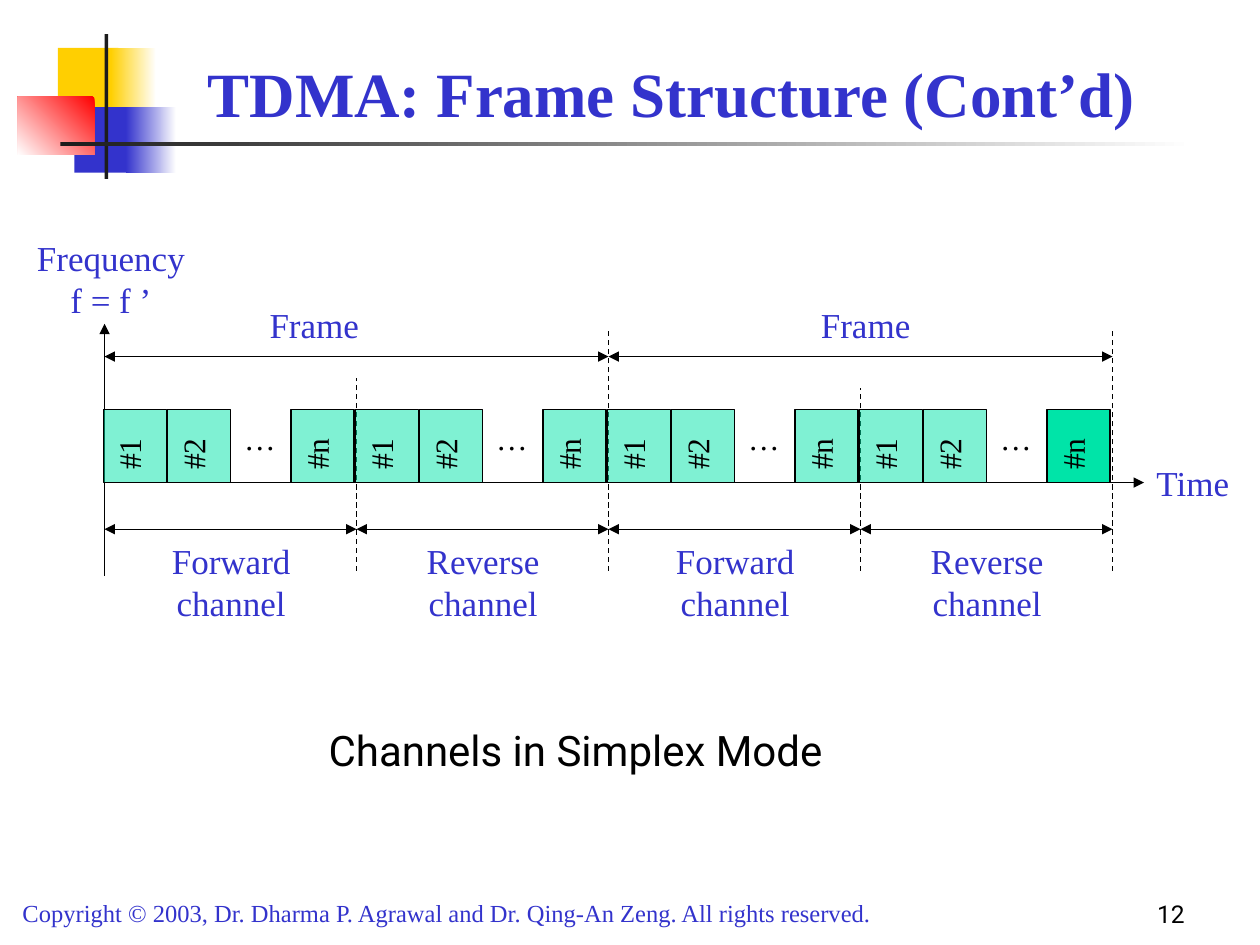
from pptx import Presentation
from pptx.dml.color import RGBColor
from pptx.enum.dml import MSO_LINE
from pptx.enum.shapes import MSO_CONNECTOR, MSO_SHAPE
from pptx.enum.text import MSO_ANCHOR, PP_ALIGN
from pptx.oxml.ns import qn
from pptx.util import Inches, Pt
from lxml import etree

COLORS = {
    "white": "FFFFFF", "black": "000000", "blue": "3333CC", "gold": "FFCF01",
    "red": "FF0000", "dark": "1C1C1C", "green": "00E4A8",
}
SERIF, SANS = "Times New Roman", "Roboto"


def color(name):
    return RGBColor.from_string(COLORS[name])


def style(frame, text, size, tint, font, align, bold=False):
    frame.text = text
    para = frame.paragraphs[0]
    para.alignment = align
    for run in para.runs:
        run.font.size = Pt(size)
        run.font.name = font
        run.font.bold = bold
        run.font.color.rgb = color(tint)


def add_text(slide, box, text, size=20, tint="blue", font=SERIF,
             align=PP_ALIGN.CENTER, bold=False, anchor=MSO_ANCHOR.TOP, wrap=True):
    frame = slide.shapes.add_textbox(*map(Inches, box)).text_frame
    frame.word_wrap = wrap
    frame.vertical_anchor = anchor
    style(frame, text, size, tint, font, align, bold)


def add_rect(slide, box, tint):
    rect = slide.shapes.add_shape(MSO_SHAPE.RECTANGLE, *map(Inches, box))
    rect.shadow.inherit = False
    rect.fill.solid()
    rect.fill.fore_color.rgb = color(tint)
    rect.line.fill.background()
    return rect


def add_fade(slide, box, tint, angle=0):
    fill = add_rect(slide, box, tint).fill
    fill.gradient()
    fill.gradient_angle = angle
    for stop, name in zip(fill.gradient_stops, (tint, "white")):
        stop.color.rgb = color(name)


def add_line(slide, start, end, heads=(), dash=False):
    line = slide.shapes.add_connector(
        MSO_CONNECTOR.STRAIGHT, *map(Inches, (*start, *end)))
    line.line.color.rgb = color("black")
    line.line.width = Pt(0.75)
    if dash:
        line.line.dash_style = MSO_LINE.DASH
    props = line.line._get_or_add_ln()
    for head in heads:
        etree.SubElement(props, qn(f"a:{head}"), type="triangle")
    etree.SubElement(line._element.spPr, qn("a:effectLst"))


def add_slot(slide, box, text, solid=False):
    slot = add_rect(slide, box, "green")
    slot.rotation = 180
    slot.line.color.rgb = color("black")
    slot.line.width = Pt(0.75)
    if not solid:
        tint = slot._element.spPr.find(qn("a:solidFill"))[0]
        etree.SubElement(tint, qn("a:alpha"), val="50000")
    frame = slot.text_frame
    frame.margin_left = frame.margin_right = Inches(0.05)
    frame.margin_top = frame.margin_bottom = Inches(0.1)
    frame.vertical_anchor = MSO_ANCHOR.TOP
    frame._txBody.bodyPr.set("vert", "eaVert")
    style(frame, text, 18, "black", SERIF, PP_ALIGN.CENTER)


def add_logo(slide, x, y):
    # Overlapping colour blocks with crossing bars
    add_rect(slide, (x + 0.32, y + 0.11, 0.48, 0.52), "gold")
    add_fade(slide, (x + 0.74, y + 0.11, 0.36, 0.52), "gold")
    add_rect(slide, (x + 0.45, y + 0.58, 0.46, 0.52), "blue")
    add_fade(slide, (x + 0.86, y + 0.58, 0.4, 0.52), "blue")
    add_fade(slide, (x, y + 0.5, 0.61, 0.46), "red", 225)
    add_rect(slide, (x + 0.69, y, 0.03, 1.15), "dark")
    add_fade(slide, (x + 0.34, y + 0.86, 9, 0.03), "dark")


def add_channel(slide, x, y, width, name, last):
    # Slots, span arrow and name of one channel; y is the top of the slots
    for text, shift in (("#1", 0), ("#2", 0.51), ("#n", 1.49)):
        add_slot(slide, (x - 0.01 + shift, y, 0.5, 0.58), text,
                 solid=last and text == "#n")
    add_text(slide, (x + 1.01, y + 0.03, 0.5, 0.4), "…", 18, "black",
             align=PP_ALIGN.LEFT)
    add_line(slide, (x, y + 0.95), (x + width, y + 0.95), ("headEnd", "tailEnd"))
    add_text(slide, (x + 0.09, y + 0.98, 1.83, 0.77), f"{name} channel")


def add_timing(slide, x, y, width):
    # x is the frequency axis, y the top of the slots
    step = width / 4
    add_line(slide, (x, y + 0.58), (x + width + 0.25, y + 0.58), ("tailEnd",))
    add_line(slide, (x, y + 1.32), (x, y - 0.68), ("tailEnd",))
    add_text(slide, (x + width + 0.25, y + 0.36, 0.83, 0.44), "Time",
             align=PP_ALIGN.LEFT)
    add_text(slide, (x - 0.66, y - 1.42, 1.42, 0.77), "Frequency f = f ’")

    # Dashed channel borders
    for i, rise in enumerate((0.25, 0.64, 0.17, 0.64), 1):
        edge = x + i * step
        add_line(slide, (edge, y + 1.28), (edge, y - rise), dash=True)

    # Frame spans
    for i, (shift, wide) in enumerate(((0.75, 1.83), (1.5, 1.08))):
        left = x + i * width / 2
        add_line(slide, (left, y - 0.42), (left + width / 2, y - 0.42),
                 ("headEnd", "tailEnd"))
        add_text(slide, (left + shift, y - 0.89, wide, 0.44), "Frame")

    for i, name in enumerate(("Forward", "Reverse") * 2):
        add_channel(slide, x + i * step, y, step, name, last=i == 3)


def add_footer(slide, x, y):
    add_text(slide, (x, y + 0.16, 7.58, 0.34),
             "Copyright © 2003, Dr. Dharma P. Agrawal and Dr. Qing-An Zeng. "
             "All rights reserved.", 14, align=PP_ALIGN.LEFT)
    add_text(slide, (x + 7.34, y, 2.08, 0.5), "12", 14, "black", SANS,
             PP_ALIGN.RIGHT, anchor=MSO_ANCHOR.BOTTOM)


def main():
    deck = Presentation()
    deck.slide_width, deck.slide_height = Inches(10), Inches(7.5)
    slide = deck.slides.add_slide(deck.slide_layouts[6])
    add_logo(slide, 0.14, 0.27)
    add_text(slide, (1.08, 0.25, 8.5, 0.83), "TDMA: Frame Structure (Cont’d)",
             36, bold=True, anchor=MSO_ANCHOR.BOTTOM)
    add_timing(slide, 0.83, 3.25, 8)
    add_text(slide, (2.51, 5.7, 4.33, 0.5), "Channels in Simplex Mode", 24,
             "black", SANS, PP_ALIGN.LEFT, wrap=False)
    add_footer(slide, 0.08, 6.92)
    deck.save("out.pptx")


if __name__ == "__main__":
    main()
